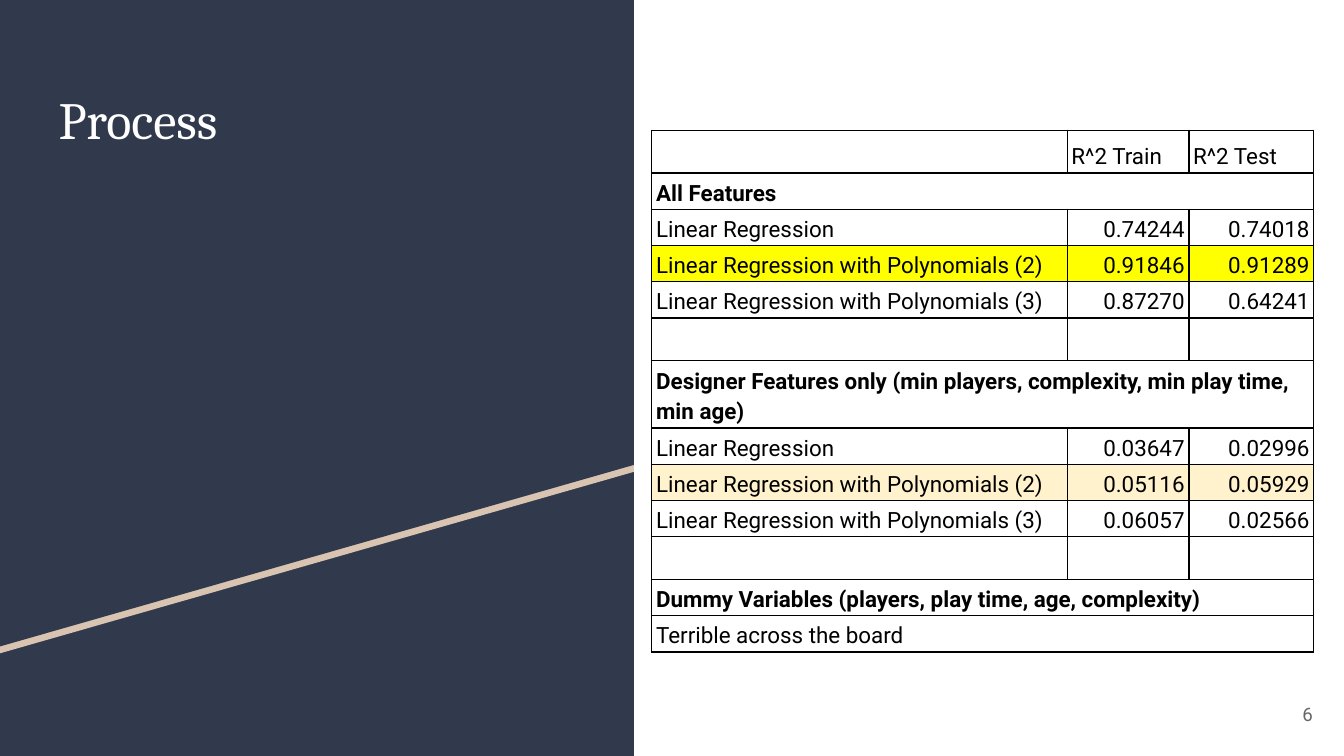
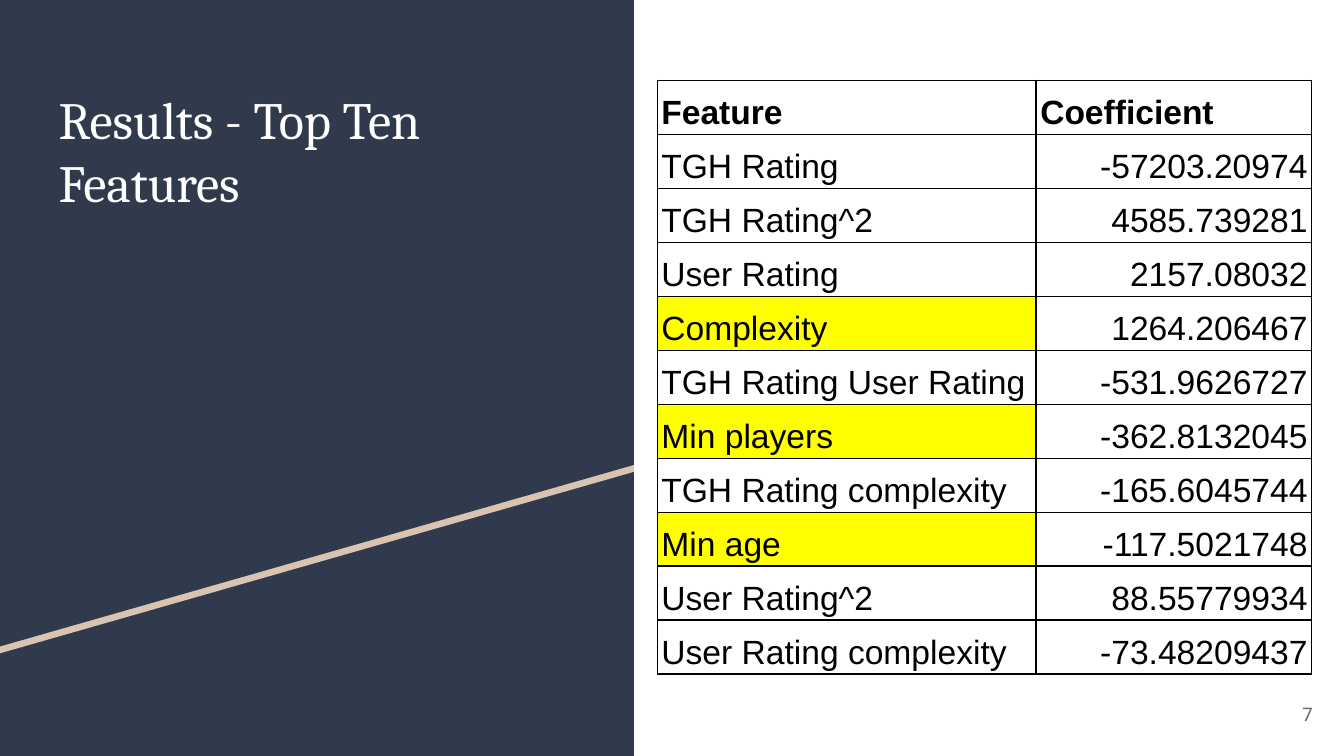
from dataclasses import dataclass, field

from lxml import etree
from pptx import Presentation
from pptx import util as u
from pptx.dml.color import RGBColor
from pptx.enum import shapes, text
from pptx.oxml import ns


@dataclass(frozen=True)
class Theme:
    navy: str = "31394D"
    sand: str = "D9C4B1"
    white: str = "FFFFFF"
    black: str = "000000"
    grey: str = "666666"
    yellow: str = "FFFF00"
    cream: str = "FFF2CC"
    title_font: str = "Cambria"
    body_font: str = "Roboto"
    table_font: str = "Arial"
    title_size: int = 28
    number_size: int = 10
    border_width: float = 0.75


THEME = Theme()
PANEL_WIDTH = 11.98
SLIDE_WIDTH, SLIDE_HEIGHT = 25.4, 14.29


@dataclass
class Grid:
    """A table: a row of one text spans all columns."""
    rows: list
    left: float
    top: float
    widths: list
    heights: list
    font: str
    size: int
    bold_rows: set
    highlights: dict = field(default_factory=dict)
    highlight_columns: int = 1


MODELS = ["Linear Regression"] + [
    f"Linear Regression with Polynomials ({degree})" for degree in (2, 3)]


def model_rows(*scores):
    return [[model, *pair] for model, pair in zip(MODELS, scores)]


LINE, TALL, DOUBLE = 0.67, 0.81, 1.24

PROCESS = Grid(
    rows=[
        ["", "R^2 Train", "R^2 Test"],
        ["All Features"],
        *model_rows(("0.74244", "0.74018"), ("0.91846", "0.91289"),
                    ("0.87270", "0.64241")),
        ["", "", ""],
        ["Designer Features only (min players, complexity, "
         "min play time, min age)"],
        *model_rows(("0.03647", "0.02996"), ("0.05116", "0.05929"),
                    ("0.06057", "0.02566")),
        ["", "", ""],
        ["Dummy Variables (players, play time, age, complexity)"],
        ["Terrible across the board"],
    ],
    left=12.32, top=2.46, widths=[7.85, 2.3, 2.36],
    heights=[TALL, *[LINE] * 4, TALL, DOUBLE, *[LINE] * 3, TALL, LINE, LINE],
    font=THEME.body_font, size=12, bold_rows={1, 6, 11},
    highlights={3: THEME.yellow, 8: THEME.cream}, highlight_columns=3,
)

RESULTS = Grid(
    rows=[
        ["Feature", "Coefficient"],
        ["TGH Rating", "-57203.20974"],
        ["TGH Rating^2", "4585.739281"],
        ["User Rating", "2157.08032"],
        ["Complexity", "1264.206467"],
        ["TGH Rating User Rating", "-531.9626727"],
        ["Min players", "-362.8132045"],
        ["TGH Rating complexity", "-165.6045744"],
        ["Min age", "-117.5021748"],
        ["User Rating^2", "88.55779934"],
        ["User Rating complexity", "-73.48209437"],
    ],
    left=12.42, top=1.52, widths=[7.16, 5.21], heights=[1.02] * 11,
    font=THEME.table_font, size=18, bold_rows={0},
    highlights={row: THEME.yellow for row in (4, 6, 8)},
)


def rgb(value):
    return RGBColor.from_string(value)


def style_para(para, font, size, color, align=text.PP_ALIGN.LEFT, bold=False):
    para.alignment = align
    para.font.name = font
    para.font.size = u.Pt(size)
    para.font.color.rgb = rgb(color)
    para.font.bold = bold


def paint(shape, color):
    shape.fill.solid()
    shape.fill.fore_color.rgb = rgb(color)
    shape.line.fill.background()
    shape.shadow.inherit = False


def add_wedge(page, drop, color):
    """Panel-wide shape with a slanted lower edge, moved down by drop."""
    corners = [(0, 0), (PANEL_WIDTH, 0), (PANEL_WIDTH, 8.79), (0, 12.22)]
    points = [(u.Cm(x), u.Cm(y + drop)) for x, y in corners]
    builder = page.shapes.build_freeform(*points[0], scale=1.0)
    builder.add_line_segments(points[1:], close=True)
    paint(builder.convert_to_shape(), color)


def add_panel(page):
    panel = page.shapes.add_shape(shapes.MSO_SHAPE.RECTANGLE, 0, 0,
                                  u.Cm(PANEL_WIDTH), u.Cm(SLIDE_HEIGHT))
    paint(panel, THEME.navy)
    add_wedge(page, 0.13, THEME.sand)
    add_wedge(page, 0, THEME.navy)


def set_title(page, words):
    title = page.shapes.title
    title.left, title.top = u.Cm(0.86), u.Cm(1.4)
    title.width, title.height = u.Cm(10.29), u.Cm(6.96)
    frame = title.text_frame
    frame.text = words
    frame.word_wrap = True
    frame.auto_size = text.MSO_AUTO_SIZE.NONE
    frame.vertical_anchor = text.MSO_ANCHOR.TOP
    frame.margin_left = frame.margin_right = u.Cm(0.25)
    frame.margin_top = frame.margin_bottom = u.Cm(0.25)
    style_para(frame.paragraphs[0], THEME.title_font, THEME.title_size,
               THEME.white)
    # Bring the title in front of the panel
    title.element.getparent().append(title.element)


def add_page_number(page, number):
    box = page.shapes.add_textbox(u.Cm(23.54), u.Cm(12.95),
                                  u.Cm(1.52), u.Cm(1.09))
    frame = box.text_frame
    frame.text = str(number)
    frame.word_wrap = True
    frame.vertical_anchor = text.MSO_ANCHOR.MIDDLE
    style_para(frame.paragraphs[0], THEME.body_font, THEME.number_size,
               THEME.grey, text.PP_ALIGN.RIGHT)


def add_borders(cell):
    properties = cell._tc.get_or_add_tcPr()
    for side in ("a:lnL", "a:lnR", "a:lnT", "a:lnB"):
        line = etree.SubElement(properties, ns.qn(side),
                                w=str(u.Pt(THEME.border_width)))
        fill = etree.SubElement(line, ns.qn("a:solidFill"))
        etree.SubElement(fill, ns.qn("a:srgbClr"), val=THEME.black)


def format_cell(cell, fill):
    cell.margin_left = cell.margin_right = u.Cm(0.08)
    cell.margin_top = cell.margin_bottom = u.Cm(0.05)
    cell.vertical_anchor = text.MSO_ANCHOR.BOTTOM
    add_borders(cell)
    if fill:
        cell.fill.solid()
        cell.fill.fore_color.rgb = rgb(fill)
    else:
        cell.fill.background()


def add_grid(page, grid):
    frame = page.shapes.add_table(
        len(grid.rows), len(grid.widths), u.Cm(grid.left), u.Cm(grid.top),
        u.Cm(sum(grid.widths)), u.Cm(sum(grid.heights)))
    table = frame.table
    table.first_row = table.horz_banding = False
    for column, width in zip(table.columns, grid.widths):
        column.width = u.Cm(width)
    for row, height in zip(table.rows, grid.heights):
        row.height = u.Cm(height)

    last = len(grid.widths) - 1
    for r, words in enumerate(grid.rows):
        for c in range(last + 1):
            marked = c < grid.highlight_columns
            format_cell(table.cell(r, c),
                        grid.highlights.get(r) if marked else None)
        if len(words) == 1:
            table.cell(r, 0).merge(table.cell(r, last))
        for c, word in enumerate(words):
            cell = table.cell(r, c)
            cell.text = word
            para = cell.text_frame.paragraphs[0]
            para.line_spacing = 1.15
            numeric = r > 0 and c > 0
            align = text.PP_ALIGN.RIGHT if numeric else text.PP_ALIGN.LEFT
            style_para(para, grid.font, grid.size, THEME.black, align,
                       r in grid.bold_rows)


def add_page(deck, title, number, grid):
    page = deck.slides.add_slide(deck.slide_layouts.get_by_name("Title Only"))
    add_panel(page)
    set_title(page, title)
    add_page_number(page, number)
    add_grid(page, grid)


def main():
    deck = Presentation()
    deck.slide_width, deck.slide_height = u.Cm(SLIDE_WIDTH), u.Cm(SLIDE_HEIGHT)
    add_page(deck, "Process", 6, PROCESS)
    add_page(deck, "Results - Top Ten Features", 7, RESULTS)
    deck.save("out.pptx")


if __name__ == "__main__":
    main()
